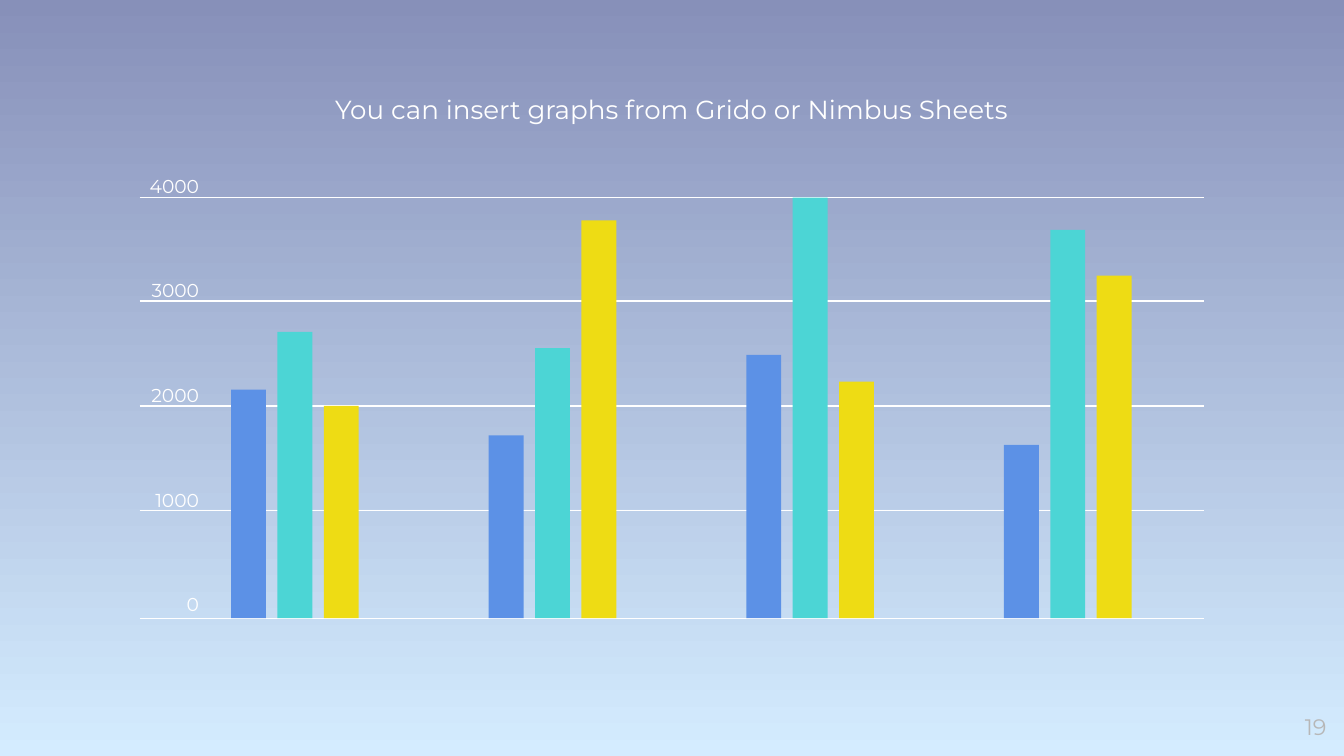
from lxml import etree
from pptx import Presentation
from pptx.dml.color import RGBColor
from pptx.enum import shapes, text
from pptx.oxml.ns import qn
from pptx.util import Inches, Pt

HUE = {"top": "8790B9", "base": "D4ECFF", "white": "FFFFFF", "gray": "B7B7B7",
       "blue": "5C91E6", "teal": "4CD5D5", "gold": "EEDC14"}
FONT = "Montserrat"
ALIGN = text.PP_ALIGN

# Line offsets from the top of the graph
RULES = [0, 0.77, 1.55, 2.33, 3.13]
MARKS = ["4000", "3000", "2000", "1000", "0"]
# Bar heights, one list for each colour
BARS = {"blue": [1.7, 1.36, 1.96, 1.29],
        "teal": [2.13, 2.01, 3.13, 2.89],
        "gold": [1.58, 2.96, 1.76, 2.55]}


def rgb(name):
    return RGBColor.from_string(HUE[name])


def put_text(slide, box, lines, size, hue, align, anchor, gaps):
    """Add a text box; gaps holds the paragraph formats of each line."""
    frame = slide.shapes.add_textbox(*map(Inches, box)).text_frame
    look = {"word_wrap": True, "vertical_anchor": anchor, "margin_left": 0,
            "margin_right": 0, "margin_top": 0, "margin_bottom": 0}
    for key, val in look.items():
        setattr(frame, key, val)
    for i, line in enumerate(lines):
        para = frame.paragraphs[0] if i == 0 else frame.add_paragraph()
        para.alignment = align
        for key, val in gaps[i].items():
            setattr(para, key, val)
        run = para.add_run()
        run.text = line
        for key, val in {"name": FONT, "size": Pt(size)}.items():
            setattr(run.font, key, val)
        run.font.color.rgb = rgb(hue)


def put_back(slide):
    fill = slide.background.fill
    fill.gradient()
    fill.gradient_angle = 270
    for stop, name in zip(fill.gradient_stops, ("top", "base")):
        stop.color.rgb = rgb(name)


def put_rule(slide, left, top, width):
    rule = slide.shapes.add_connector(
        shapes.MSO_CONNECTOR.STRAIGHT,
        *map(Inches, (left, top, left + width, top)))
    rule.line.color.rgb = rgb("white")
    rule.line.width = Pt(0.75)
    etree.SubElement(rule._element.spPr, qn("a:effectLst"))


def put_bar(slide, box, hue):
    bar = slide.shapes.add_shape(shapes.MSO_SHAPE.RECTANGLE, *map(Inches, box))
    bar.shadow.inherit = False
    bar.fill.solid()
    bar.fill.fore_color.rgb = rgb(hue)
    bar.line.fill.background()


def put_graph(slide, left, top, width, height):
    # Grid lines
    for drop in RULES:
        put_rule(slide, left, top + drop, width)

    # Scale labels, each just above its line
    gaps = [{"space_before": Pt(44 if i else 0)} for i in range(len(MARKS))]
    put_text(slide, (left, top - 0.17, 0.44, height + 0.18), MARKS, 10,
             "white", ALIGN.RIGHT, text.MSO_ANCHOR.TOP, gaps)

    # Bars stand on the lowest line, in groups of three
    for group in range(4):
        for i, (hue, tall) in enumerate(BARS.items()):
            x = left + 0.68 + 5.75 * group / 3 + 0.69 * i / 2
            put_bar(slide, (x, top + height - tall[group], 0.26, tall[group]), hue)


def main():
    deck = Presentation()
    deck.slide_width = Inches(10)
    deck.slide_height = deck.slide_width * 9 // 16
    slide = deck.slides.add_slide(deck.slide_layouts[6])
    put_back(slide)

    # Heading and page number
    middle = text.MSO_ANCHOR.MIDDLE
    put_text(slide, (0.5, 0.58, 9, 0.43),
             ["You can insert graphs from Grido or Nimbus Sheets"],
             14, "white", ALIGN.CENTER, middle,
             [{"line_spacing": 1.15, "space_after": Pt(10)}])
    put_text(slide, (9.27, 5.19, 0.6, 0.43), ["19"],
             12, "gray", ALIGN.RIGHT, middle, [{}])

    put_graph(slide, 1.04, 1.47, 7.92, 3.13)
    deck.save("out.pptx")


if __name__ == "__main__":
    main()
